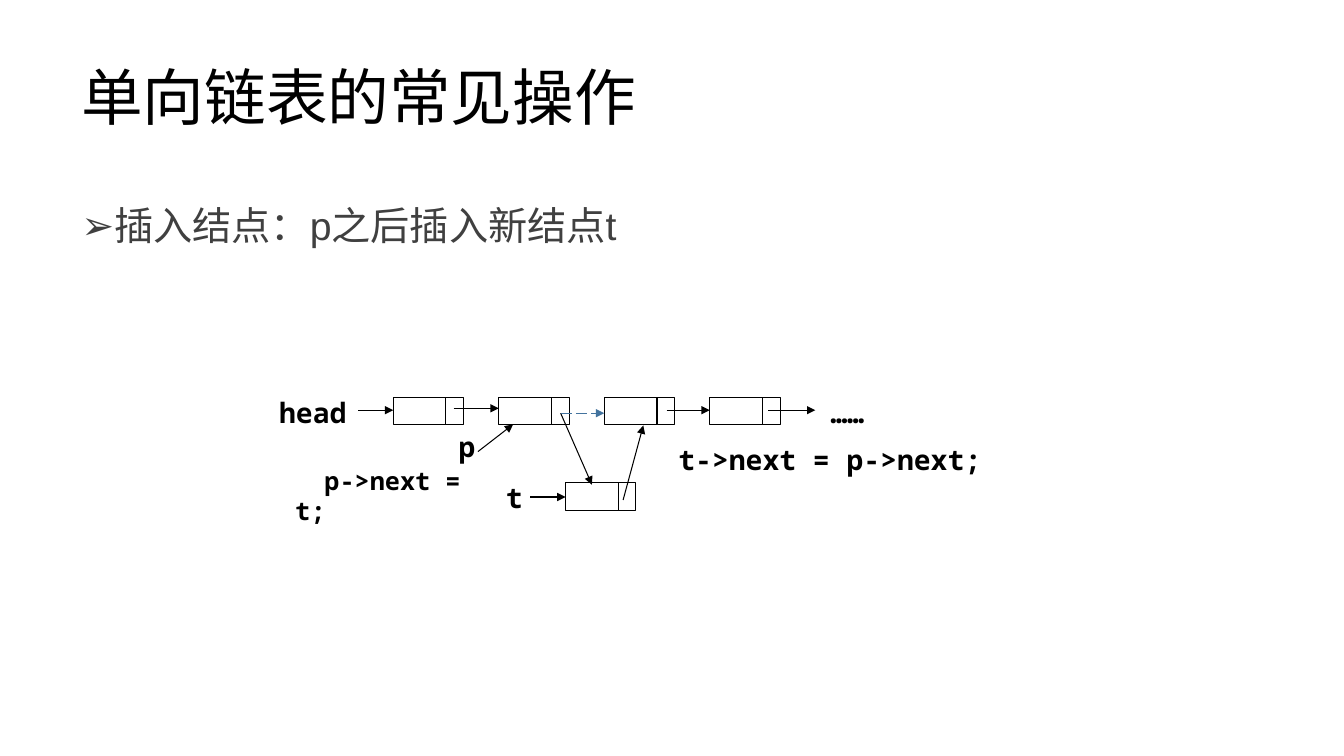
from dataclasses import dataclass
from typing import Any

from lxml.etree import SubElement
from pptx import Presentation
from pptx.dml.color import RGBColor
from pptx.enum.dml import MSO_LINE
from pptx.enum.shapes import MSO_CONNECTOR, MSO_SHAPE
from pptx.enum.text import MSO_ANCHOR, MSO_AUTO_SIZE, PP_ALIGN
from pptx.oxml.ns import qn
from pptx.shapes.shapetree import GroupShapes
from pptx.util import Inches, Pt


@dataclass(frozen=True)
class Theme:
    """Colours, fonts and type sizes of the slide."""
    ink: RGBColor = RGBColor(0, 0, 0)
    body: RGBColor = RGBColor(0x40, 0x40, 0x40)
    paper: RGBColor = RGBColor(0xFF, 0xFF, 0xFF)
    old_link: RGBColor = RGBColor(0x43, 0x73, 0x9E)
    text_font: str = "Arial"
    code_font: str = "Noto Sans Mono"
    title_size: int = 44
    body_size: int = 28
    label_size: int = 20
    small_size: int = 18
    line_width: float = 0.75


@dataclass(frozen=True)
class Grid:
    """Columns and rows measured from the first node's corner."""
    left: float = 3.9
    top: float = 3.94
    column: float = 3.14 / 18
    row: float = 0.27

    def x(self, columns: float) -> int:
        """Return the horizontal position of a column."""
        return Inches(self.left + columns * self.column)

    def y(self, rows: float) -> int:
        """Return the vertical position of a row."""
        return Inches(self.top + rows * self.row)

    def width(self, columns: float) -> int:
        """Return the width of a number of columns."""
        return Inches(columns * self.column)

    def height(self, rows: float) -> int:
        """Return the height of a number of rows."""
        return Inches(rows * self.row)


@dataclass(frozen=True)
class Node:
    """A list node with a data cell and a link cell."""
    column: float
    row: float = 0


@dataclass(frozen=True)
class Arrow:
    """An arrow between two grid points."""
    start: tuple[float, float]
    end: tuple[float, float]
    replaced: bool = False


@dataclass(frozen=True)
class Label:
    """A code label in a grid box."""
    text: str
    column: float
    row: float
    columns: float
    rows: float = 1.74
    statement: bool = False
    anchor: MSO_ANCHOR = MSO_ANCHOR.TOP
    size: int = 20


THEME = Theme()
GRID = Grid()
DATA_COLUMNS, LINK_COLUMNS, PITCH = 3, 1, 6

NODES = [Node(PITCH * index) for index in range(4)] + [Node(9.8, 3.15)]
ARROWS = [
    Arrow((-2, 0.48), (0, 0.48)),
    Arrow((3.44, 0.41), (6, 0.41)),
    Arrow((15.54, 0.48), (18, 0.48)),
    Arrow((21.33, 0.48), (24, 0.48)),
    Arrow((9.52, 0.59), (11.3, 3.22)),
    Arrow((4.82, 2), (6.82, 1)),
    Arrow((7.8, 3.67), (9.8, 3.67)),
    Arrow((9.52, 0.59), (12, 0.59), replaced=True),
    Arrow((13.07, 3.78), (14.22, 1.04)),
]
LABELS = [
    Label("head", -7.05, -0.26, 5.73),
    Label("……", 24.31, -0.26, 4.64),
    Label("p", 3.15, 1, 3.67),
    Label("t", 5.85, 2.89, 2.98),
    Label("t->next = p->next;", 13.99, 1.48, 22.42, 1.63, True, MSO_ANCHOR.MIDDLE),
    Label("p->next = t;", -6.14, 2.33, 12.56, 1.48, True, size=THEME.small_size),
]


def apply(target: Any, values: dict[str, Any]) -> None:
    """Set each named attribute on the target."""
    for name, value in values.items():
        setattr(target, name, value)


def write(shape: Any, text: str, font: str, size: int, color: RGBColor,
          paragraph_format: dict[str, Any], bold: bool = False) -> Any:
    """Write one formatted paragraph and return it."""
    paragraph = shape.text_frame.paragraphs[0]
    apply(paragraph, paragraph_format)
    run = paragraph.add_run()
    run.text = text
    apply(run.font, {"name": font, "size": Pt(size), "bold": bold})
    run.font.color.rgb = color
    return paragraph


def fill_placeholders(slide: Any, width: int, height: int) -> None:
    """Place the title and the bulleted line."""
    title, body = slide.placeholders
    boxes = ((title, 0.037, 0.193, MSO_ANCHOR.MIDDLE),
             (body, 0.267, 0.635, MSO_ANCHOR.TOP))
    for placeholder, top, share, anchor in boxes:
        apply(placeholder, {"left": int(width * 0.053), "top": int(height * top),
                            "width": int(width * 0.8625), "height": int(height * share)})
        apply(placeholder.text_frame, {"vertical_anchor": anchor, "word_wrap": True,
                                       "auto_size": MSO_AUTO_SIZE.NONE})
    spacing = {"alignment": PP_ALIGN.LEFT, "line_spacing": 0.9}
    write(title, "单向链表的常见操作", THEME.text_font, THEME.title_size, THEME.ink, spacing)
    paragraph = write(body, "插入结点：p之后插入新结点t", THEME.text_font, THEME.body_size,
                      THEME.body, spacing | {"space_before": Pt(10)})
    properties = paragraph._p.get_or_add_pPr()
    properties.set("marL", str(Inches(0.25)))
    properties.set("indent", str(Inches(-0.25)))
    SubElement(properties, qn("a:buFont"), typeface=THEME.text_font)
    SubElement(properties, qn("a:buChar"), char="➢")


def draw_node(shapes: GroupShapes, node: Node) -> None:
    """Draw the data cell and the link cell of a node."""
    cells = ((node.column, DATA_COLUMNS), (node.column + DATA_COLUMNS, LINK_COLUMNS))
    for column, columns in cells:
        cell = shapes.add_shape(MSO_SHAPE.RECTANGLE, GRID.x(column), GRID.y(node.row),
                                GRID.width(columns), GRID.height(1))
        cell.shadow.inherit = False
        cell.fill.solid()
        cell.fill.fore_color.rgb = THEME.paper
        cell.line.color.rgb = THEME.ink
        cell.line.width = Pt(THEME.line_width)


def draw_arrow(shapes: GroupShapes, arrow: Arrow) -> None:
    """Draw an arrow, dashed when its link is replaced."""
    (start_x, start_y), (end_x, end_y) = arrow.start, arrow.end
    connector = shapes.add_connector(MSO_CONNECTOR.STRAIGHT, GRID.x(start_x), GRID.y(start_y),
                                     GRID.x(end_x), GRID.y(end_y))
    connector.line.color.rgb = THEME.old_link if arrow.replaced else THEME.ink
    connector.line.width = Pt(1 if arrow.replaced else THEME.line_width)
    if arrow.replaced:
        connector.line.dash_style = MSO_LINE.LONG_DASH
    properties = connector._element.spPr
    SubElement(properties.find(qn("a:ln")), qn("a:tailEnd"), type="triangle")
    SubElement(properties, qn("a:effectLst"))


def draw_label(shapes: GroupShapes, label: Label) -> None:
    """Draw a bold code label."""
    box = shapes.add_textbox(GRID.x(label.column), GRID.y(label.row),
                             GRID.width(label.columns), GRID.height(label.rows))
    fit = MSO_AUTO_SIZE.SHAPE_TO_FIT_TEXT if label.statement else MSO_AUTO_SIZE.NONE
    apply(box.text_frame, {"word_wrap": True, "auto_size": fit, "vertical_anchor": label.anchor})
    alignment = PP_ALIGN.LEFT if label.statement else PP_ALIGN.JUSTIFY
    paragraph = write(box, label.text, THEME.code_font, label.size, THEME.ink,
                      {"alignment": alignment}, bold=True)
    if label.statement:
        paragraph._p.get_or_add_pPr().set("indent", str(Inches(0.29)))


def main() -> None:
    """Build the linked list slide and save it."""
    presentation = Presentation()
    apply(presentation, {"slide_width": Inches(13.33), "slide_height": Inches(7.5)})
    slide = presentation.slides.add_slide(presentation.slide_layouts[1])
    fill_placeholders(slide, presentation.slide_width, presentation.slide_height)
    shapes = slide.shapes.add_group_shape().shapes
    for draw, items in ((draw_node, NODES), (draw_arrow, ARROWS), (draw_label, LABELS)):
        for item in items:
            draw(shapes, item)
    presentation.save("out.pptx")


if __name__ == "__main__":
    main()
